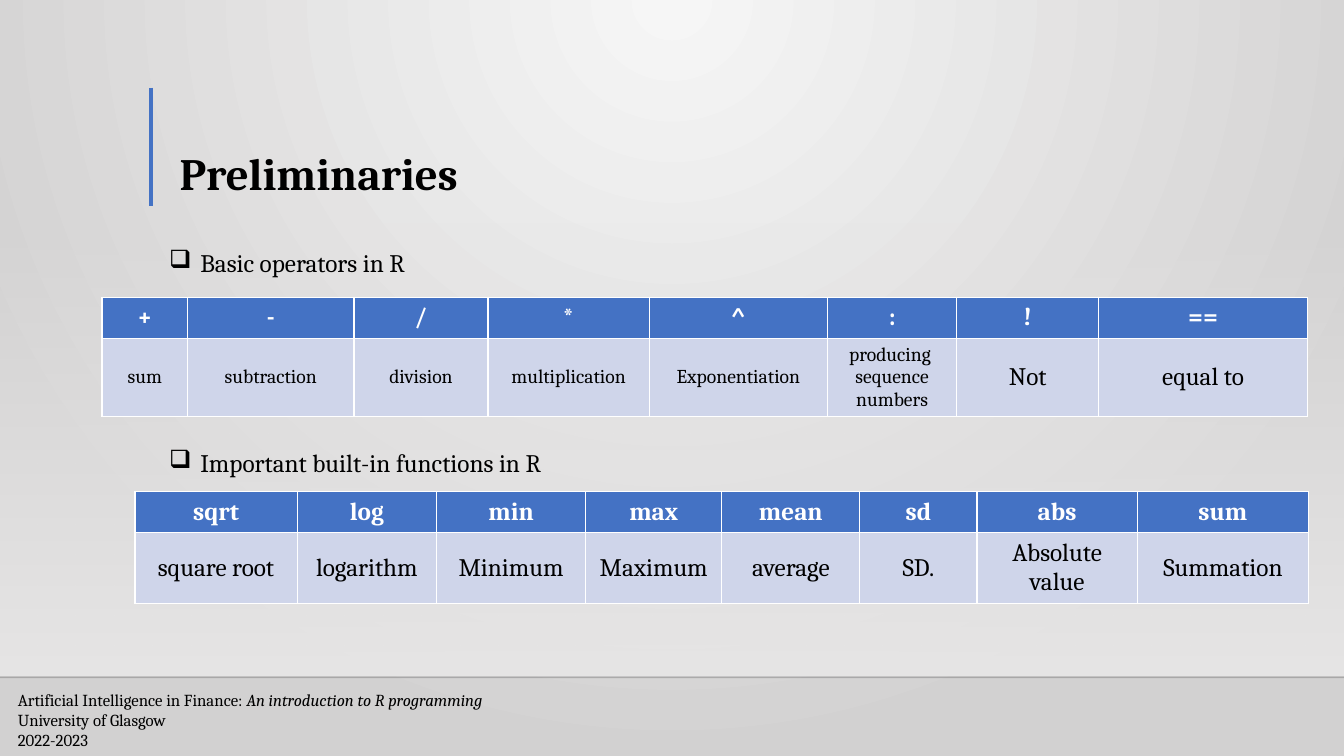
from lxml import etree
from pptx import Presentation
from pptx import util as u
from pptx.dml.color import RGBColor
from pptx.enum import shapes, text
from pptx.oxml.ns import qn

BLACK = RGBColor(0x00, 0x00, 0x00)
RULE = RGBColor(0x00, 0x00, 0x01)
WHITE = RGBColor(0xFF, 0xFF, 0xFF)
BLUE = RGBColor(0x44, 0x72, 0xC4)
PALE_BLUE = RGBColor(0xCF, 0xD5, 0xEA)
PANEL = RGBColor(0xE7, 0xE6, 0xE6)
GLOW = RGBColor(0xF6, 0xF6, 0xF6)
EDGE = RGBColor(0xD2, 0xD1, 0xD1)


def write(frame, content, size=18, color=BLACK, bold=False, font="Cambria",
          align=text.PP_ALIGN.LEFT, spacing=None, bullet=None):
    """Fill a text frame; lines break at newlines and *...* marks italics."""
    for number, line in enumerate(content.split("\n")):
        paragraph = frame.add_paragraph() if number else frame.paragraphs[0]
        paragraph.alignment = align
        paragraph.line_spacing = spacing
        pieces = line.split("*") if line != "*" else [line]
        for position, piece in enumerate(pieces):
            if not piece:
                continue
            run = paragraph.add_run()
            run.text = piece
            run.font.name, run.font.size = font, u.Pt(size)
            run.font.bold, run.font.italic = bold, position % 2 == 1
            run.font.color.rgb = color
        if bullet:
            properties = paragraph._p.get_or_add_pPr()
            properties.set("marL", str(u.Cm(0.79)))
            properties.set("indent", str(-u.Cm(0.79)))
            etree.SubElement(properties, qn("a:buChar"), char=bullet)


def set_alpha(element, percent):
    """Make the first RGB colour inside an element partly transparent."""
    rgb = next(element.iter(qn("a:srgbClr")))
    etree.SubElement(rgb, qn("a:alpha"), val=str(percent * 1000))


class Deck:
    """Holds the style and the current slide."""

    def __init__(self, width, height):
        """Open a title-only slide of the given size."""
        self.presentation = Presentation()
        self.presentation.slide_width = u.Cm(width)
        self.presentation.slide_height = u.Cm(height)
        self.slide = self.presentation.slides.add_slide(
            self.presentation.slide_layouts[5])

    def gradient(self, fill, start, end):
        """Give a fill a two-colour gradient running downwards."""
        fill.gradient()
        fill.gradient_angle = 270
        for stop, color in zip(fill.gradient_stops, (start, end)):
            stop.color.rgb = color

    def background(self, center, edge):
        """Spread a circular glow from the middle of the top edge."""
        self.gradient(self.slide.background.fill, center, edge)
        glow = next(self.slide.element.iter(qn("a:gradFill")))
        glow.remove(glow.find(qn("a:lin")))
        circle = etree.SubElement(glow, qn("a:path"), path="circle")
        etree.SubElement(circle, qn("a:fillToRect"),
                         l="43000", t="0", r="43000", b="100000")

    def panel(self, left, top, width, height, color):
        """Draw a rectangle that fades in from top to bottom."""
        panel = self.slide.shapes.add_shape(
            shapes.MSO_SHAPE.RECTANGLE, *map(u.Cm, (left, top, width, height)))
        panel.shadow.inherit = False
        panel.line.fill.background()
        self.gradient(panel.fill, color, color)
        set_alpha(panel._element.spPr, 0)

    def line(self, x1, y1, x2, y2, color, weight, alpha=100):
        """Draw a straight line."""
        line = self.slide.shapes.add_connector(
            shapes.MSO_CONNECTOR.STRAIGHT, *map(u.Cm, (x1, y1, x2, y2)))
        line.line.color.rgb = color
        line.line.width = u.Pt(weight)
        properties = line._element.spPr
        if alpha < 100:
            set_alpha(properties, alpha)
        etree.SubElement(properties, qn("a:effectLst"))

    def title(self, content, left, top, width, height):
        """Place and format the title placeholder."""
        title = self.slide.shapes.title
        title.left, title.top = u.Cm(left), u.Cm(top)
        title.width, title.height = u.Cm(width), u.Cm(height)
        title.text_frame.auto_size = text.MSO_AUTO_SIZE.NONE
        title.text_frame.vertical_anchor = text.MSO_ANCHOR.BOTTOM
        write(title.text_frame, content, size=32, bold=True, spacing=0.9)

    def label(self, content, left, top, width, height, **style):
        """Add a text box that fits its text."""
        label = self.slide.shapes.add_textbox(
            *map(u.Cm, (left, top, width, height)))
        label.text_frame.word_wrap = False
        label.text_frame.auto_size = text.MSO_AUTO_SIZE.SHAPE_TO_FIT_TEXT
        write(label.text_frame, content, **style)

    def table(self, entries, left, top, widths, heights, small=0):
        """Add a table of terms over meanings, the first few set smaller."""
        table = self.slide.shapes.add_table(
            2, len(entries), u.Cm(left), u.Cm(top),
            u.Cm(sum(widths)), u.Cm(sum(heights))).table
        for row, height in zip(table.rows, heights):
            row.height = u.Cm(height)
        for column, (entry, width) in enumerate(zip(entries, widths)):
            table.columns[column].width = u.Cm(width)
            for row, content in enumerate(entry):
                cell = table.cell(row, column)
                cell.vertical_anchor = text.MSO_ANCHOR.MIDDLE
                cell.fill.solid()
                cell.fill.fore_color.rgb = PALE_BLUE if row else BLUE
                write(cell.text_frame, content,
                      size=14 if row and column < small else 18,
                      color=BLACK if row else WHITE, bold=not row,
                      align=text.PP_ALIGN.CENTER)


def main():
    """Build the slide on basic operators and functions."""
    operators = [
        ("+", "sum"), ("-", "subtraction"), ("/", "division"),
        ("*", "multiplication"), ("^", "Exponentiation"),
        (":", "producing \nsequence numbers"), ("!", "Not"),
        ("==", "equal to")]
    functions = [
        ("sqrt", "square root"), ("log", "logarithm"), ("min", "Minimum"),
        ("max", "Maximum"), ("mean", "average"), ("sd", "SD."),
        ("abs", "Absolute value"), ("sum", "Summation")]

    deck = Deck(33.87, 19.05)
    deck.background(GLOW, EDGE)
    deck.panel(0, 5.59, 33.87, 11.43, PANEL)
    deck.line(0, 17.07, 33.87, 17.07, RULE, 1, alpha=20)
    deck.line(3.81, 2.21, 3.81, 5.18, BLUE, 3)
    deck.title("Preliminaries", 4.27, 2.24, 26.44, 2.92)
    deck.table(operators, 2.57, 7.49,
               (2.16, 4.19, 3.38, 4.06, 4.5, 3.25, 3.58, 5.26),
               (1.03, 1.97), small=6)
    deck.label("Basic operators in R", 4.01, 6.12, 6.96, 1.02, bullet="❑")
    deck.label("Important built-in functions in R", 4.01, 11.15, 10.59, 1.02,
               bullet="❑")
    deck.table(functions, 3.4, 12.39,
               (4.09, 3.51, 3.76, 3.43, 3.48, 2.95, 4.04, 4.32),
               (1.03, 1.78))
    deck.label("Artificial Intelligence in Finance: "
               "*An introduction to R programming*\n"
               "University of Glasgow\n2022-2023",
               0.2, 17.25, 12.9, 1.8, size=12)
    deck.presentation.save("out.pptx")


if __name__ == "__main__":
    main()
